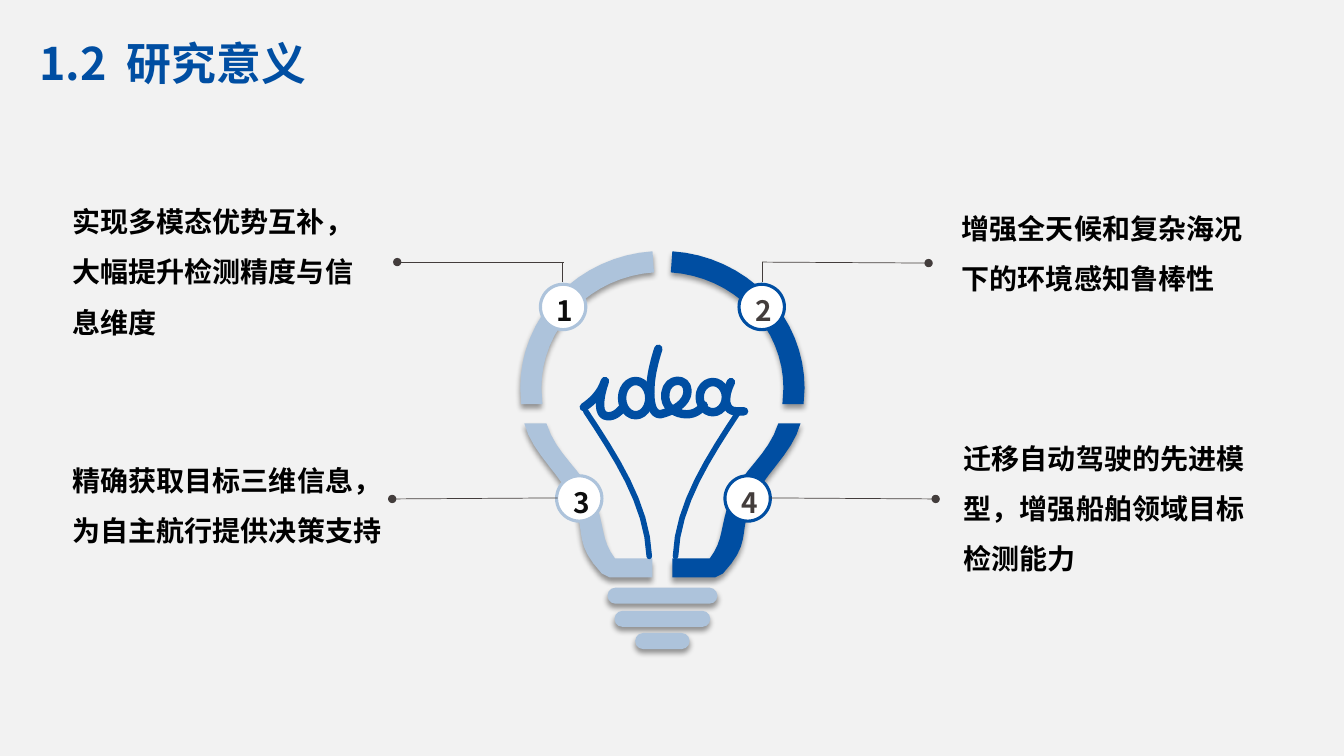
import math
import pptx
import pptx.util
import pptx.dml.color
import pptx.enum.shapes
import pptx.enum.text
import pptx.oxml
import pptx.oxml.ns

RGB = pptx.dml.color.RGBColor
PAPER = RGB(0xF2, 0xF2, 0xF2)
WHITE = RGB(0xFF, 0xFF, 0xFF)
BLACK = RGB(0, 0, 0)
NAVY = RGB(0x00, 0x4E, 0xA2)
PALE = RGB(0xAD, 0xC3, 0xDB)
INK = RGB(0x0D, 0x0D, 0x0D)
GREY = RGB(0x43, 0x3D, 0x3C)
FACE = "Noto Sans CJK SC"
PX = 9144
STEPS = 8
AXIS = 657
ROUND = 45
THICK = 16
NS = pptx.oxml.ns.nsdecls("a")
KINDS = pptx.enum.shapes.MSO_SHAPE
ALIGN = pptx.enum.text.PP_ALIGN

TITLE = ("1.2", " ", "研究意义")
NOTES = [
    ("实现多模态优势互补，大幅提升检测精度与信息维度", 72, 186, 300, 151),
    ("增强全天候和复杂海况下的环境感知鲁棒性", 954, 193, 300, 109),
    ("精确获取目标三维信息，为自主航行提供决策支持", 72, 443, 315, 95),
    ("迁移自动驾驶的先进模型，增强船舶领域目标检测能力", 956, 421, 300, 151),
]
BADGES = [
    ("1", 536, 282, PALE, INK), ("2", 733, 282, NAVY, GREY),
    ("3", 552, 472, PALE, INK), ("4", 719, 472, NAVY, GREY),
]
WIRES = [
    (558, 280, 558, 260, False), (559, 260, 394, 260, True),
    (756, 280, 756, 260, False), (756, 260, 921, 261, True),
    (553, 494, 389, 495, True), (763, 494, 928, 495, True),
]
BASE = [(583, 109), (606, 95), (628, 54)]

RING = [(141, 136, 94, 180), (120, 115, 180, 94)]
NECK = [
    (520, 420), (528, 451, 559, 472, 571, 504), (580, 530, 570, 540, 597, 569),
    (605, 573), (647, 573), (647, 554), (610, 554),
    (596, 536, 600, 522, 590, 496), (578, 466, 552, 452, 542, 420),
]
THREAD = [(581, 408), (610, 452, 642, 500, 644, 552)]
WORD = [
    [(579, 404), (588, 398, 596, 390, 600, 378), (594, 395, 592, 413, 603, 413),
     (609, 413, 613, 410, 618, 404)],
    [(653, 346), (648, 362, 645, 375, 645, 390), (645, 400, 647, 411, 655, 411),
     (668, 408, 682, 400, 682, 388), (682, 374, 662, 374, 660, 390),
     (658, 404, 670, 411, 681, 411), (690, 411, 695, 406, 698, 402)],
    [(725, 379), (717, 395, 719, 408, 730, 408), (738, 408)],
]
BOWLS = [(617, 378, 27, 34), (694, 379, 26, 30)]


def trace(path):
    spots = [path[0]]
    for part in path[1:]:
        if len(part) == 2:
            spots.append(part)
            continue
        ends = [spots[-1], part[:2], part[2:4], part[4:]]
        for step in range(1, STEPS + 1):
            t = step / STEPS
            mix = ((1 - t) ** 3, 3 * t * (1 - t) ** 2, 3 * t * t * (1 - t), t ** 3)
            spots.append(tuple(sum(m * e[i] for m, e in zip(mix, ends)) for i in (0, 1)))
    return spots


def ring():
    spots = []
    for wide, high, start, stop in RING:
        arc = []
        for step in range(2 * STEPS + 1):
            turn = math.radians(start + (stop - start) * step / (2 * STEPS))
            arc.append((AXIS + wide * math.cos(turn), 385 - high * math.sin(turn)))
        foot = (AXIS - wide + 1, 401)
        spots += arc + [foot] if stop == 180 else [foot] + arc
    return spots


def paint(shape, fill, shade=False):
    shape.fill.solid()
    shape.fill.fore_color.rgb = fill
    shape.line.fill.background()
    shape.shadow.inherit = False
    if shade:
        glow = shape._element.spPr.find(pptx.oxml.ns.qn("a:effectLst"))
        glow.append(pptx.oxml.parse_xml(
            f'<a:outerShdw {NS} blurRad="50800" dist="38100" dir="5400000">'
            '<a:srgbClr val="000000"><a:alpha val="40000"/></a:srgbClr></a:outerShdw>'))


def outline(shape, ink, width):
    shape.line.color.rgb = ink
    shape.line.width = pptx.util.Pt(width)


def stroke(shape, width):
    shape.fill.background()
    outline(shape, NAVY, width)
    shape.line._get_or_add_ln().set("cap", "rnd")
    shape.shadow.inherit = False


def draw(spots, flip, close):
    spots = [((2 * AXIS - x if flip else x) * PX, y * PX) for x, y in spots]
    pen = slide.shapes.build_freeform(*spots[0], scale=1.0)
    pen.add_line_segments(spots[1:], close=close)
    return pen.convert_to_shape()


def write(frame, parts, size, ink, space, align=ALIGN.LEFT):
    para = frame.paragraphs[0]
    para.alignment = align
    para.line_spacing = space
    for part in parts:
        para.add_run().text = part
    font = para.font
    font.size = pptx.util.Pt(size)
    font.bold = True
    font.color.rgb = ink
    font.name = FACE
    font._element.append(pptx.oxml.parse_xml(f'<a:ea {NS} typeface="{FACE}"/>'))
    return para


def label(parts, box, size, ink, space, pad=0):
    frame = slide.shapes.add_textbox(*(n * PX for n in box)).text_frame
    frame.word_wrap = True
    frame.margin_left = frame.margin_right = 0
    frame.margin_top = frame.margin_bottom = pad * PX
    return write(frame, parts, size, ink, space)


deck = pptx.Presentation()
deck.slide_width = pptx.util.Inches(13.33)
deck.slide_height = pptx.util.Inches(7.5)
slide = deck.slides.add_slide(deck.slide_layouts[6])
slide.background.fill.solid()
slide.background.fill.fore_color.rgb = PAPER

head = label(TITLE, (39, 31, 293, 64), 32, NAVY, 1.0, 5)
head.runs[1].font._element.set("spc", "700")

for y, wide in BASE:
    bar = slide.shapes.add_shape(
        KINDS.ROUNDED_RECTANGLE, int((AXIS - wide / 2) * PX), y * PX, wide * PX, THICK * PX)
    bar.adjustments[0] = 0.5
    paint(bar, PALE, True)

for flip, fill in ((False, PALE), (True, NAVY)):
    for spots in (ring(), trace(NECK)):
        paint(draw(spots, flip, True), fill, True)
    stroke(draw(trace(THREAD), flip, False), 4)
for path in WORD:
    stroke(draw(trace(path), False, False), 6)
for box in BOWLS:
    stroke(slide.shapes.add_shape(KINDS.OVAL, *(n * PX for n in box)), 6)

for mark, x, y, edge, ink in BADGES:
    badge = slide.shapes.add_shape(KINDS.OVAL, x * PX, y * PX, ROUND * PX, ROUND * PX)
    paint(badge, WHITE)
    outline(badge, edge, 2.25)
    badge.text_frame.vertical_anchor = pptx.enum.text.MSO_ANCHOR.MIDDLE
    write(badge.text_frame, [mark], 20, ink, 1.2, ALIGN.CENTER)

for *ends, dot in WIRES:
    wire = slide.shapes.add_connector(
        pptx.enum.shapes.MSO_CONNECTOR.STRAIGHT, *(n * PX for n in ends))
    outline(wire, GREY, 0.5)
    if dot:
        wire.line._get_or_add_ln().append(pptx.oxml.parse_xml(f'<a:tailEnd {NS} type="oval"/>'))
    wire._element.spPr.append(pptx.oxml.parse_xml(f"<a:effectLst {NS}/>"))

for text, *box in NOTES:
    label([text], box, 20, BLACK, 1.5)

deck.save("out.pptx")
